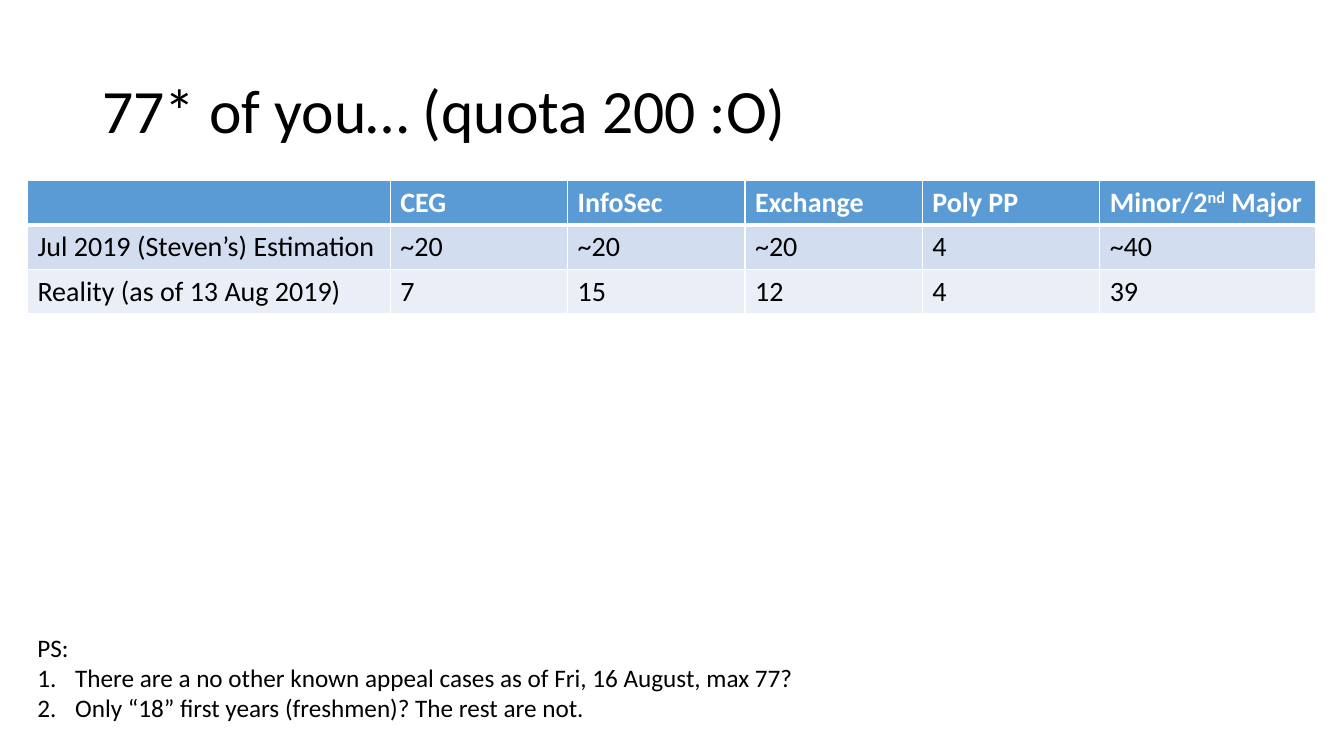
from lxml import etree
from pptx import Presentation
from pptx.dml.color import RGBColor
from pptx.enum.text import MSO_ANCHOR, MSO_AUTO_SIZE, PP_ALIGN
from pptx.oxml.ns import qn
from pptx.util import Pt

LEFT = PP_ALIGN.LEFT
MIDDLE = MSO_ANCHOR.MIDDLE
NO_FIT = MSO_AUTO_SIZE.NONE
GROW = MSO_AUTO_SIZE.SHAPE_TO_FIT_TEXT
TITLE_ONLY = 5

FONT = "Calibri"
BLACK, WHITE = "000000", "FFFFFF"
ROW_FILLS = ["5B9BD5", "D2DEEF", "EAEFF7"]
COLUMN_WIDTHS = [259.2] + [126.7] * 4 + [154]

HEADINGS = ["", "CEG", "InfoSec", "Exchange", "Poly PP", "Minor/2^nd^ Major"]
ROWS = [
    HEADINGS,
    ["Jul 2019 (Steven’s) Estimation", "~20", "~20", "~20", "4", "~40"],
    ["Reality (as of 13 Aug 2019)", "7", "15", "12", "4", "39"],
]
NOTES = [
    "There are a no other known appeal cases as of Fri, 16 August, max 77?",
    "Only “18” first years (freshmen)? The rest are not.",
]


def color(code):
    return RGBColor.from_string(code)


def style(para, size, code, bold=False):
    para.font.name = FONT
    para.font.size = Pt(size)
    para.font.bold = bold
    para.font.color.rgb = color(code)


def place(shape, box):
    shape.left, shape.top, shape.width, shape.height = (Pt(v) for v in box)


def add_title(page, box, text):
    title = page.shapes.title
    place(title, box)
    frame = title.text_frame
    frame.text = text
    frame.vertical_anchor = MIDDLE
    frame.auto_size = NO_FIT
    para = frame.paragraphs[0]
    para.alignment = LEFT
    para.line_spacing = 0.9
    style(para, 44, BLACK)


def set_borders(cell, bottom_width):
    """Draw white rules on all four sides, ahead of the cell's fill."""
    props = cell._tc.get_or_add_tcPr()
    for index, side in enumerate(("lnL", "lnR", "lnT", "lnB")):
        width = bottom_width if side == "lnB" else 1
        line = etree.Element(qn(f"a:{side}"), w=str(Pt(width)))
        solid = etree.SubElement(line, qn("a:solidFill"))
        etree.SubElement(solid, qn("a:srgbClr"), val=WHITE)
        props.insert(index, line)


def fill_cell(cell, text, fill, header):
    cell.fill.solid()
    cell.fill.fore_color.rgb = color(fill)
    set_borders(cell, 3 if header else 1)
    para = cell.text_frame.paragraphs[0]
    style(para, 20, WHITE if header else BLACK, header)
    # Text between carets is raised
    for index, part in enumerate(text.split("^")):
        if part:
            span = para.add_run()
            span.text = part
            if index % 2:
                span.font._element.set("baseline", "30000")


def add_quota_table(page, box):
    frame = page.shapes.add_table(len(ROWS), len(HEADINGS), *(Pt(v) for v in box))
    table = frame.table
    for column, width in zip(table.columns, COLUMN_WIDTHS):
        column.width = Pt(width)
    for r, (texts, fill) in enumerate(zip(ROWS, ROW_FILLS)):
        table.rows[r].height = Pt(box[3] / len(ROWS))
        for c, text in enumerate(texts):
            fill_cell(table.cell(r, c), text, fill, r == 0)


def number(para, indent):
    props = para._p.get_or_add_pPr()
    props.set("marL", str(Pt(indent)))
    props.set("indent", str(-Pt(indent)))
    etree.SubElement(props, qn("a:buFont"), typeface="+mj-lt")
    etree.SubElement(props, qn("a:buAutoNum"), type="arabicPeriod")


def add_postscript(page, box):
    frame = page.shapes.add_textbox(*(Pt(v) for v in box)).text_frame
    frame.word_wrap = True
    frame.auto_size = GROW
    heading = frame.paragraphs[0]
    heading.text = "PS:"
    style(heading, 18, BLACK)
    for note in NOTES:
        para = frame.add_paragraph()
        para.text = note
        style(para, 18, BLACK)
        number(para, 27)


def main():
    deck = Presentation()
    deck.slide_width, deck.slide_height = Pt(960), Pt(540)
    page = deck.slides.add_slide(deck.slide_layouts[TITLE_ONLY])
    add_title(page, (66, 28.75, 828, 104.4), "77* of you… (quota 200 :O)")
    add_quota_table(page, (19.6, 129, sum(COLUMN_WIDTHS), 93.6))
    add_postscript(page, (19.6, 447.8, 920, 72.7))
    deck.save("out.pptx")


if __name__ == "__main__":
    main()
